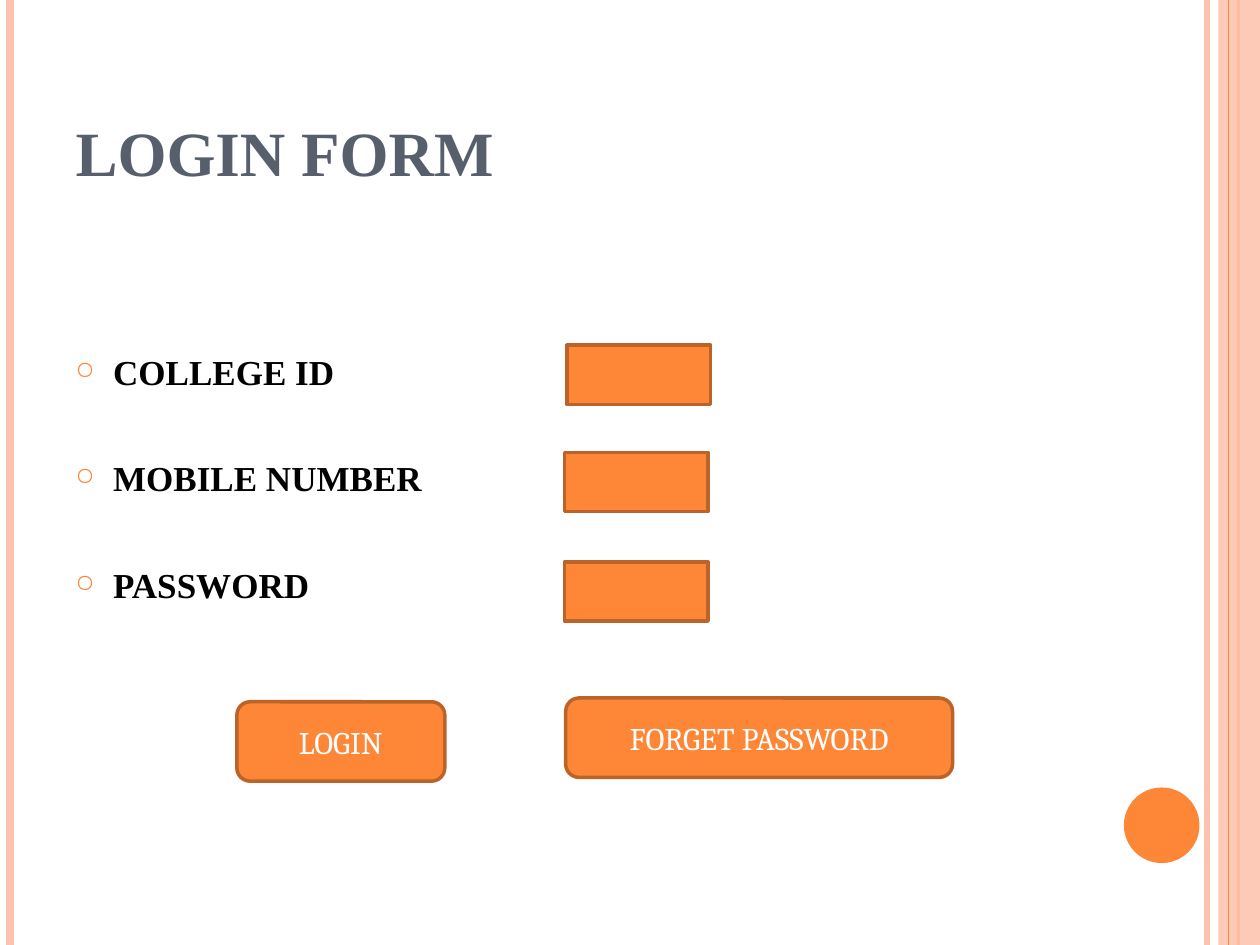
"""Build the login form slide."""
from lxml.etree import SubElement
from pptx import Presentation
from pptx.dml.color import RGBColor
from pptx.enum.shapes import MSO_CONNECTOR, MSO_SHAPE as SHAPE
from pptx.enum.text import MSO_ANCHOR as ANCHOR, PP_ALIGN as ALIGN
from pptx.oxml import parse_xml
from pptx.oxml.ns import nsdecls, qn
from pptx.util import Inches, Pt

ORANGE = RGBColor(0xFE, 0x86, 0x37)
BROWN = RGBColor(0xBC, 0x63, 0x29)
PEACH = RGBColor(0xFE, 0xC3, 0xAE)
SLATE = RGBColor(0x57, 0x5F, 0x6D)
BLACK = RGBColor(0, 0, 0)
WHITE = RGBColor(0xFF, 0xFF, 0xFF)


def write(paragraph, text, font="Times New Roman", size=20, color=BLACK, bold=True, align=ALIGN.LEFT):
    paragraph.alignment = align
    run = paragraph.add_run()
    run.text = text
    run.font.name = font
    run.font.size = Pt(size)
    run.font.bold = bold
    run.font.color.rgb = color


def add_box(kind, left, top, width, height, fill=ORANGE, line=None):
    shape = slide.shapes.add_shape(kind, Inches(left), Inches(top), Inches(width), Inches(height))
    shape.shadow.inherit = False
    shape.fill.solid()
    shape.fill.fore_color.rgb = fill
    if line is None:
        shape.line.fill.background()
    else:
        shape.line.color.rgb = line
        shape.line.width = Pt(2)
    return shape


presentation = Presentation()
presentation.slide_width = Inches(10)
presentation.slide_height = Inches(7.5)
slide = presentation.slides.add_slide(presentation.slide_layouts[5])

stripes = [(9.58, PEACH, 3), (0.08, PEACH, 4.5), (9.83, ORANGE, 1.5), (9.75, ORANGE, 0.75)]
for x, color, width in stripes:
    if x == 9.75:
        band = add_box(SHAPE.RECTANGLE, 9.67, 0, 0.33, 7.5, fill=PEACH)
        band_color = band.fill._xPr.find(qn("a:solidFill"))[0]
        SubElement(band_color, qn("a:alpha"), val="87000")
    stripe = slide.shapes.add_connector(MSO_CONNECTOR.STRAIGHT, Inches(x), 0, Inches(x), Inches(7.5))
    stripe.line.color.rgb = color
    stripe.line.width = Pt(width)
    SubElement(stripe._element.spPr, qn("a:effectLst"))

add_box(SHAPE.OVAL, 8.92, 6.25, 0.6, 0.6)

title = slide.shapes.title
title.left, title.top, title.width, title.height = Inches(0.5), Inches(0.3), Inches(8.17), Inches(1.25)
title.text_frame.vertical_anchor = ANCHOR.BOTTOM
write(title.text_frame.paragraphs[0], "LOGIN FORM", size=36, color=SLATE)

labels = slide.shapes.add_textbox(Inches(0.5), Inches(1.75), Inches(8.17), Inches(5.33)).text_frame
labels.word_wrap = True
labels.margin_top = Inches(1.03)
for index, label in enumerate(["COLLEGE ID", "MOBILE NUMBER", "PASSWORD"]):
    paragraph = labels.add_paragraph() if index else labels.paragraphs[0]
    paragraph.space_before = Pt(37 if index else 0)
    write(paragraph, label)
    properties = paragraph._p.get_or_add_pPr()
    properties.set("marL", str(Inches(0.3)))
    properties.set("indent", str(Inches(-0.3)))
    for bullet in (
        f'<a:buClr {nsdecls("a")}><a:srgbClr val="{ORANGE}"/></a:buClr>',
        f'<a:buSzPct {nsdecls("a")} val="70000"/>',
        f'<a:buChar {nsdecls("a")} char="○"/>',
    ):
        properties.append(parse_xml(bullet))

for left, top in [(4.5, 2.74), (4.48, 3.59), (4.48, 4.46)]:
    add_box(SHAPE.RECTANGLE, left, top, 1.14, 0.47, line=BROWN)

buttons = [("LOGIN", 1.88, 5.57, 1.65), ("FORGET PASSWORD", 4.49, 5.54, 3.07)]
for text, left, top, width in buttons:
    button = add_box(SHAPE.ROUNDED_RECTANGLE, left, top, width, 0.63, line=BROWN)
    button.text_frame.vertical_anchor = ANCHOR.MIDDLE
    write(button.text_frame.paragraphs[0], text, font="Cambria", size=18,
          color=WHITE, bold=False, align=ALIGN.CENTER)

presentation.save("out.pptx")
